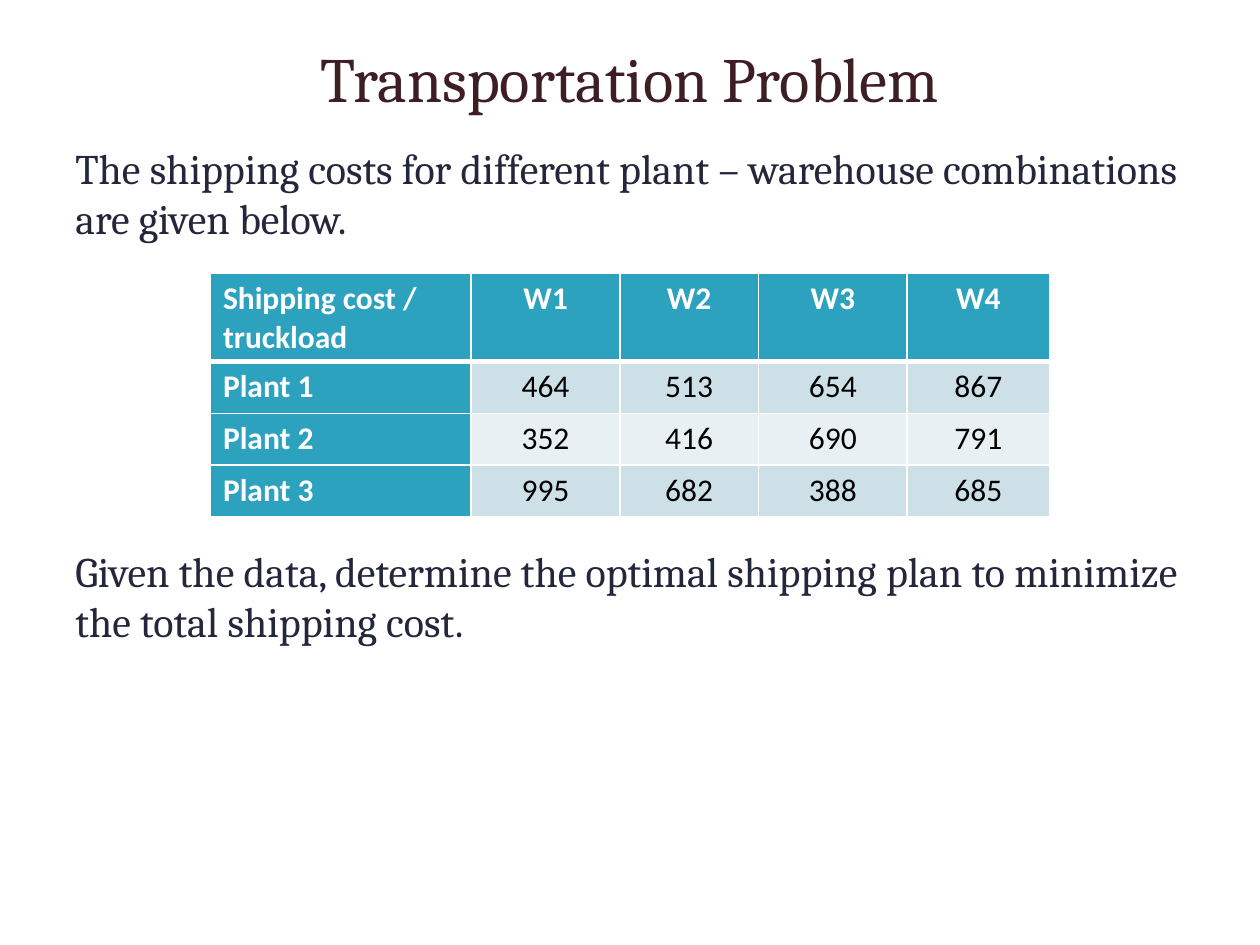
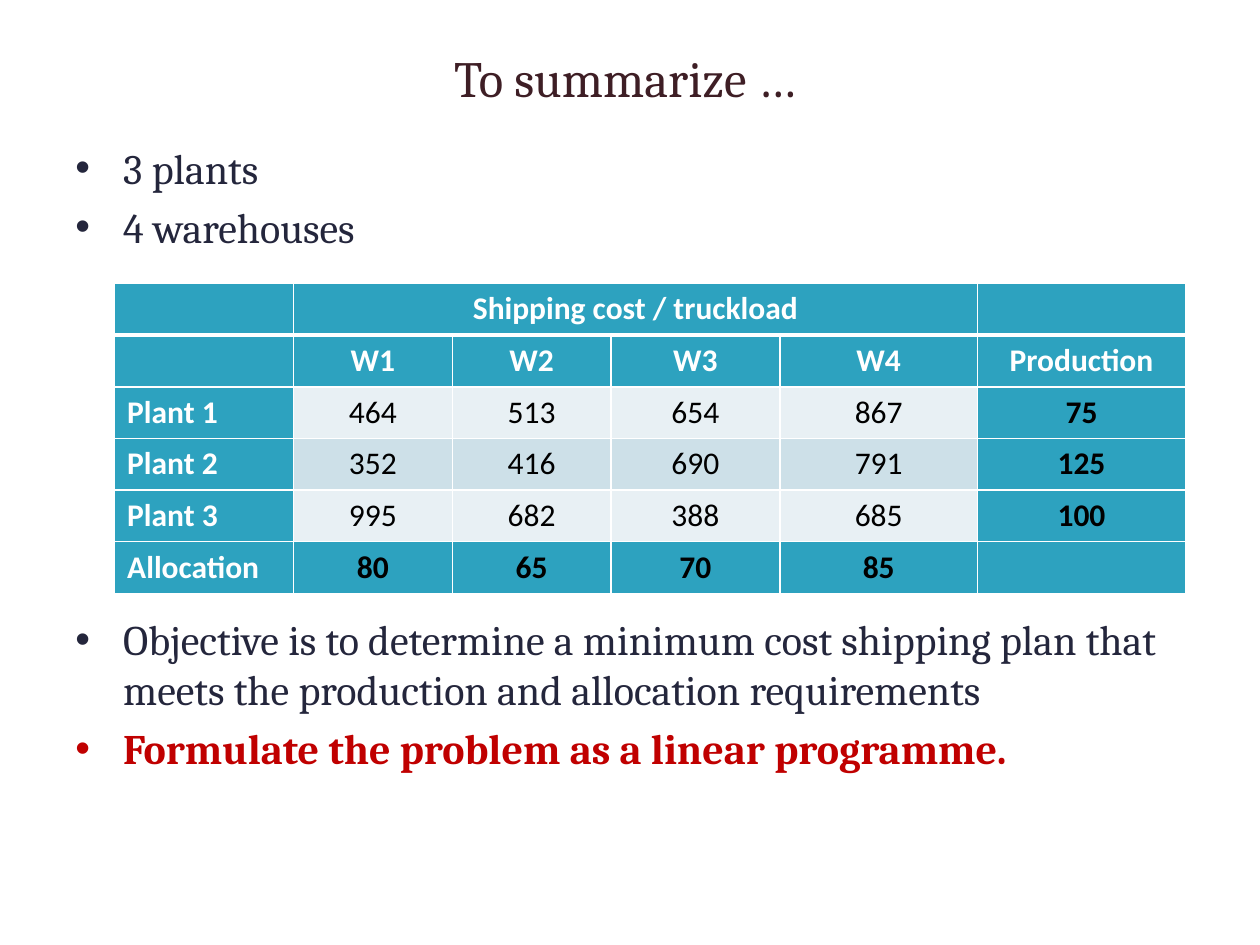
from dataclasses import dataclass

from lxml.etree import SubElement
from pptx import Presentation
from pptx.dml.color import RGBColor
from pptx.enum.text import MSO_ANCHOR, MSO_AUTO_SIZE, PP_ALIGN
from pptx.oxml.ns import qn
from pptx.util import Inches, Pt

HEADING, BODY, ALERT = "3E1E25", "24263C", "C00000"
ACCENT, DARK_BAND, LIGHT_BAND = "2DA2BF", "CDE0E8", "E8F0F4"
WHITE, BLACK = "FFFFFF", "000000"
TEXT_FONT, TABLE_FONT = "Cambria", "Calibri"
TEXT_LEFT, TEXT_WIDTH = 0.5, 9
TEXT_TOP = 1.08
ROW_HEIGHT = 0.41

WAREHOUSES = ["W1", "W2", "W3", "W4"]
COSTS = {
    "Plant 1": [464, 513, 654, 867],
    "Plant 2": [352, 416, 690, 791],
    "Plant 3": [995, 682, 388, 685],
}
PRODUCTION = [75, 125, 100]
ALLOCATION = [80, 65, 70, 85]


@dataclass
class Line:
    """One body paragraph."""
    text: str
    color: str = BODY
    bold: bool = False


@dataclass
class Grid:
    """A table with heading rows, a label column and optional totals."""
    left: float
    top: float
    columns: list[float]
    rows: list[list]
    header_rows: int = 1
    header_height: float = ROW_HEIGHT
    totals: bool = False


def rgb(color: str) -> RGBColor:
    """Turn a hex string into a colour."""
    return RGBColor.from_string(color)


def style(para, font: str, size: float, color: str, bold: bool = False) -> None:
    """Format every run of a paragraph."""
    for span in para.runs:
        span.font.name = font
        span.font.size = Pt(size)
        span.font.bold = bold
        span.font.color.rgb = rgb(color)


def add_page(deck, title: str, size: float):
    """Add a slide with its centred title."""
    page = deck.slides.add_slide(deck.slide_layouts[5])
    box = page.shapes.title
    box.left, box.top = Inches(TEXT_LEFT), Inches(0.3)
    box.width, box.height = Inches(TEXT_WIDTH), Inches(0.62)
    frame = box.text_frame
    frame.text = title
    frame.auto_size = MSO_AUTO_SIZE.NONE
    frame.vertical_anchor = MSO_ANCHOR.MIDDLE
    para = frame.paragraphs[0]
    para.alignment = PP_ALIGN.CENTER
    style(para, TEXT_FONT, size, HEADING)
    return page


def add_bullet(para) -> None:
    """Give a paragraph a round bullet and a hanging indent."""
    settings = para._p.get_or_add_pPr()
    indent = Inches(0.38)
    settings.set("marL", str(indent))
    settings.set("indent", str(-indent))
    SubElement(settings, qn("a:buFont"), typeface="Arial")
    SubElement(settings, qn("a:buChar"), char="•")


def add_body(page, top: float, height: float, lines: list[Line],
             bullets: bool = False) -> None:
    """Add a block of body text across the slide."""
    box = page.shapes.add_textbox(Inches(TEXT_LEFT), Inches(top),
                                  Inches(TEXT_WIDTH), Inches(height))
    frame = box.text_frame
    frame.word_wrap = True
    frame.text = "\n".join(line.text for line in lines)
    for para, line in zip(frame.paragraphs, lines):
        para.space_before = Pt(4.8)
        style(para, TEXT_FONT, 24, line.color, line.bold)
        if bullets:
            add_bullet(para)


def add_borders(cell, top: float, bottom: float) -> None:
    """Draw white cell borders; widths are in points."""
    settings = cell._tc.get_or_add_tcPr()
    for side, width in (("L", 1), ("R", 1), ("T", top), ("B", bottom)):
        line = SubElement(settings, qn(f"a:ln{side}"), w=str(Pt(width)))
        SubElement(SubElement(line, qn("a:solidFill")), qn("a:srgbClr"), val=WHITE)


def add_grid(page, grid: Grid):
    """Add a table, colouring headings, bands and totals by position."""
    row_count, column_count = len(grid.rows), len(grid.columns)
    heights = [grid.header_height] + [ROW_HEIGHT] * (row_count - 1)
    table = page.shapes.add_table(
        row_count, column_count, Inches(grid.left), Inches(grid.top),
        Inches(sum(grid.columns)), Inches(sum(heights))).table
    for column, width in zip(table.columns, grid.columns):
        column.width = Inches(width)
    for r, (row, values) in enumerate(zip(table.rows, grid.rows)):
        row.height = Inches(heights[r])
        for c, (cell, value) in enumerate(zip(row.cells, values)):
            heading = r < grid.header_rows or c == 0
            total = grid.totals and (r == row_count - 1 or c == column_count - 1)
            band = DARK_BAND if r % 2 else LIGHT_BAND
            add_borders(cell, 3 if r == 1 else 1, 3 if r == 0 else 1)
            cell.fill.solid()
            cell.fill.fore_color.rgb = rgb(ACCENT if heading or total else band)
            cell.text = str(value)
            para = cell.text_frame.paragraphs[0]
            para.alignment = PP_ALIGN.CENTER if c else PP_ALIGN.LEFT
            style(para, TABLE_FONT, 18, WHITE if heading else BLACK, heading or total)
    return table


def build_problem(deck) -> None:
    """Build the slide that states the problem."""
    page = add_page(deck, "Transportation Problem", 36)
    add_body(page, TEXT_TOP, 0.95, [Line(
        "The shipping costs for different plant – warehouse combinations are given below.")])
    add_body(page, 4.28, 0.95, [Line(
        "Given the data, determine the optimal shipping plan to minimize "
        "the total shipping cost.")])
    rows = [["Shipping cost / truckload", *WAREHOUSES]]
    rows += [[plant, *costs] for plant, costs in COSTS.items()]
    add_grid(page, Grid(1.67, 2.17, [2.07, 1.18, 1.1, 1.18, 1.13], rows,
                        header_height=0.69))


def build_summary(deck) -> None:
    """Build the slide that sums up costs, production and allocation."""
    page = add_page(deck, "To summarize … ", 29)
    add_body(page, TEXT_TOP, 1, [Line("3 plants"), Line("4 warehouses")], bullets=True)
    add_body(page, 4.82, 1.45, [
        Line("Objective is to determine a minimum cost shipping plan that meets "
             "the production and allocation requirements"),
        Line("Formulate the problem as a linear programme.", ALERT, True),
    ], bullets=True)
    rows = [["", "Shipping cost / truckload", "", "", "", ""],
            ["", *WAREHOUSES, "Production"]]
    rows += [[plant, *costs, made]
             for (plant, costs), made in zip(COSTS.items(), PRODUCTION)]
    rows.append(["Allocation", *ALLOCATION, ""])
    table = add_grid(page, Grid(0.91, 2.25, [1.42, 1.26, 1.26, 1.34, 1.57, 1.65],
                                rows, header_rows=2, totals=True))
    table.cell(0, 1).merge(table.cell(0, 4))


def main() -> None:
    """Build and save the deck."""
    deck = Presentation()
    deck.slide_width, deck.slide_height = Inches(10), Inches(7.5)
    build_problem(deck)
    build_summary(deck)
    deck.save("out.pptx")


main()
